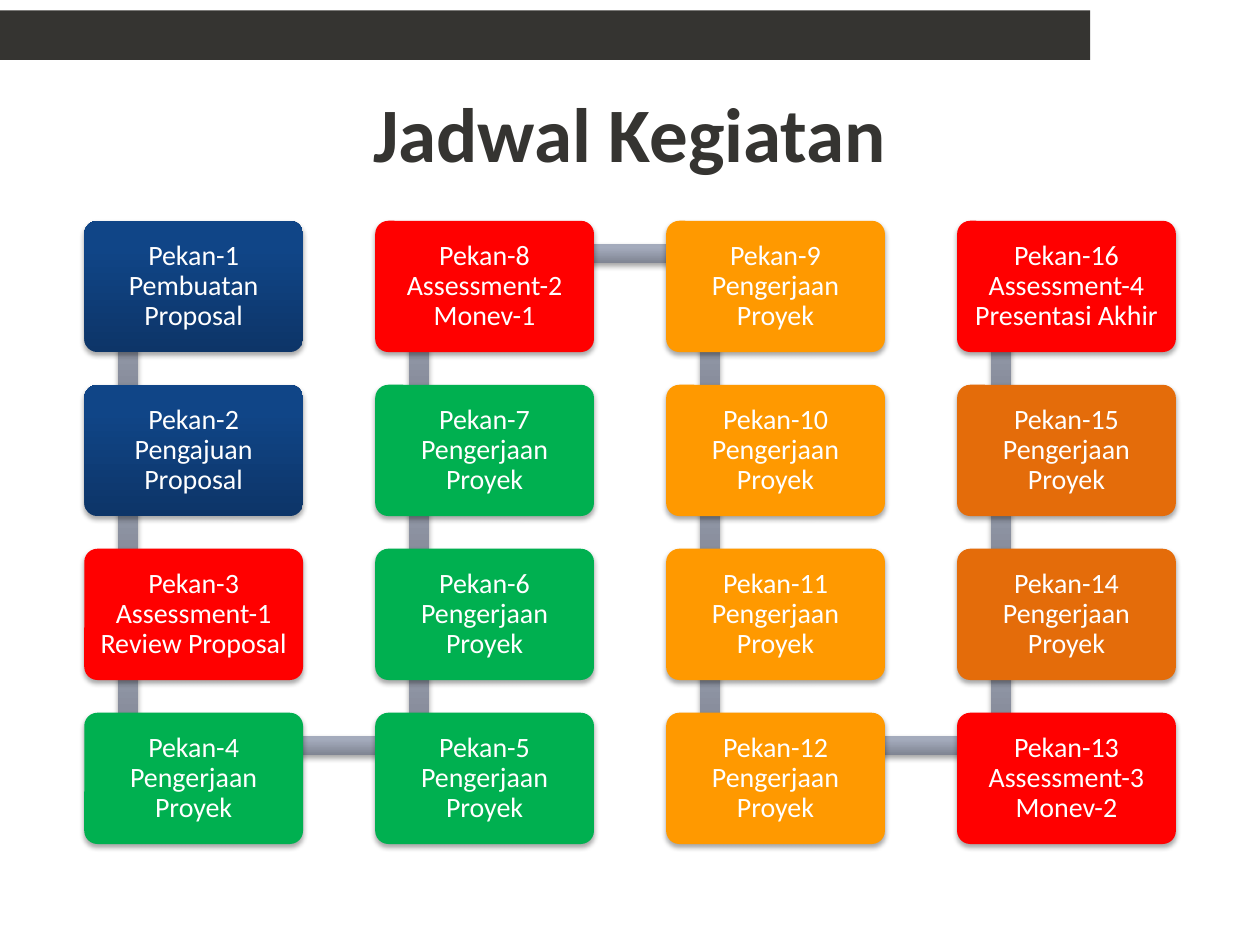
import pptx
import pptx.util
import pptx.dml.color
import pptx.enum.shapes
import pptx.enum.text
import pptx.oxml

Pt = pptx.util.Pt
RGBColor = pptx.dml.color.RGBColor
Shapes = pptx.enum.shapes.MSO_SHAPE
NAMESPACE = 'xmlns:a="http://schemas.openxmlformats.org/drawingml/2006/main"'

# Colours
DARK = RGBColor(0x35, 0x34, 0x31)
WHITE = RGBColor(0xFF, 0xFF, 0xFF)
RED = RGBColor(0xFF, 0x00, 0x00)
GREEN = RGBColor(0x00, 0xB0, 0x50)
AMBER = RGBColor(0xFF, 0x99, 0x00)
ORANGE = RGBColor(0xE4, 0x6C, 0x0A)
BLUE_STOPS = ((0, RGBColor(0x0D, 0x35, 0x68)), (80, RGBColor(0x10, 0x45, 0x87)),
              (100, RGBColor(0x0E, 0x45, 0x8A)))
GREY_STOPS = ((0, RGBColor(0x7E, 0x83, 0x91)), (80, RGBColor(0xA4, 0xAB, 0xBC)),
              (100, RGBColor(0xA4, 0xAB, 0xBE)))

# Schedule grid
ROWS = 4
CARD_WIDTH, CARD_HEIGHT = 125, 75
COLUMN_STEP, ROW_STEP = 166.25, 93.7
ANCHOR_X, ANCHOR_Y = 25, 18.7
LINK_THICKNESS = 11.25

WORK = "Pengerjaan Proyek"
WEEKS = [
    ("Pembuatan Proposal", BLUE_STOPS),
    ("Pengajuan Proposal", BLUE_STOPS),
    ("Assessment-1 Review Proposal", RED),
    *[(WORK, GREEN)] * 4,
    ("Assessment-2 Monev-1", RED),
    *[(WORK, AMBER)] * 4,
    ("Assessment-3 Monev-2", RED),
    *[(WORK, ORANGE)] * 2,
    ("Assessment-4 Presentasi Akhir", RED),
]


def write_text(shape, text, size, color, bold=False, margin=5, line_spacing=None):
    frame = shape.text_frame
    frame.word_wrap = True
    frame.vertical_anchor = pptx.enum.text.MSO_ANCHOR.MIDDLE
    frame.margin_left = frame.margin_right = Pt(margin)
    frame.margin_top = frame.margin_bottom = Pt(margin)
    paragraph = frame.paragraphs[0]
    paragraph.alignment = pptx.enum.text.PP_ALIGN.CENTER
    paragraph.line_spacing = line_spacing
    run = paragraph.add_run()
    run.text = text
    run.font.name = "Calibri"
    run.font.size = Pt(size)
    run.font.bold = bold
    run.font.color.rgb = color


def add_block(slide, kind, left, top, width, height, fill, shadow=True):
    """Add a borderless shape; fill is one colour or a tuple of gradient stops."""
    shape = slide.shapes.add_shape(kind, Pt(left), Pt(top), Pt(width), Pt(height))
    shape.shadow.inherit = False
    shape.line.fill.background()
    if isinstance(fill, RGBColor):
        shape.fill.solid()
        shape.fill.fore_color.rgb = fill
    else:
        shape.fill.gradient()
        shape.fill.gradient_angle = 90
        stop_list = shape.fill.gradient_stops and shape.element.spPr.find(
            ".//" + pptx.oxml.ns.qn("a:gsLst"))
        for stop in list(stop_list):
            stop_list.remove(stop)
        for position, color in fill:
            stop_list.append(pptx.oxml.parse_xml(
                f'<a:gs {NAMESPACE} pos="{position * 1000}"><a:srgbClr val="{color}"/></a:gs>'))
    if shadow:
        effects = shape.element.spPr.find(pptx.oxml.ns.qn("a:effectLst"))
        effects.append(pptx.oxml.parse_xml(
            f'<a:outerShdw {NAMESPACE} blurRad="{Pt(3.1)}" dist="{Pt(1.8)}" dir="5400000" '
            'rotWithShape="0"><a:srgbClr val="000000"><a:alpha val="35000"/></a:srgbClr>'
            '</a:outerShdw>'))
    return shape


def add_header(slide, left, top, width):
    add_block(slide, Shapes.RECTANGLE, left, top, width - 97, 28.3, DARK, shadow=False)
    title = slide.shapes.add_textbox(Pt(left + 36), Pt(top + 24.3), Pt(width - 72), Pt(90))
    write_text(title, "Jadwal Kegiatan", size=44, color=DARK, bold=True)


def add_schedule(slide, left, top):
    # Weeks run down one column and up the next
    corners = []
    for index in range(len(WEEKS)):
        column, row = divmod(index, ROWS)
        if column % 2:
            row = ROWS - 1 - row
        corners.append((left + column * COLUMN_STEP, top + row * ROW_STEP))

    # Links between consecutive weeks, behind the cards
    for (x1, y1), (x2, y2) in zip(corners, corners[1:]):
        x, y = min(x1, x2) + ANCHOR_X, min(y1, y2) + ANCHOR_Y
        if x1 == x2:
            box = (x - LINK_THICKNESS / 2, y, LINK_THICKNESS, ROW_STEP)
        else:
            box = (x, y - LINK_THICKNESS / 2, COLUMN_STEP, LINK_THICKNESS)
        add_block(slide, Shapes.RECTANGLE, *box, GREY_STOPS)

    # Week cards
    for number, ((x, y), (activity, fill)) in enumerate(zip(corners, WEEKS), start=1):
        card = add_block(slide, Shapes.ROUNDED_RECTANGLE, x, y, CARD_WIDTH, CARD_HEIGHT, fill)
        card.adjustments[0] = 0.1
        write_text(card, f"Pekan-{number} {activity}", size=16, color=WHITE, line_spacing=0.9)


presentation = pptx.Presentation()
presentation.slide_width, presentation.slide_height = Pt(720), Pt(540)
slide = presentation.slides.add_slide(presentation.slide_layouts[6])
add_header(slide, 0, 6, 720)
add_schedule(slide, 48.2, 126.2)
presentation.save("out.pptx")
